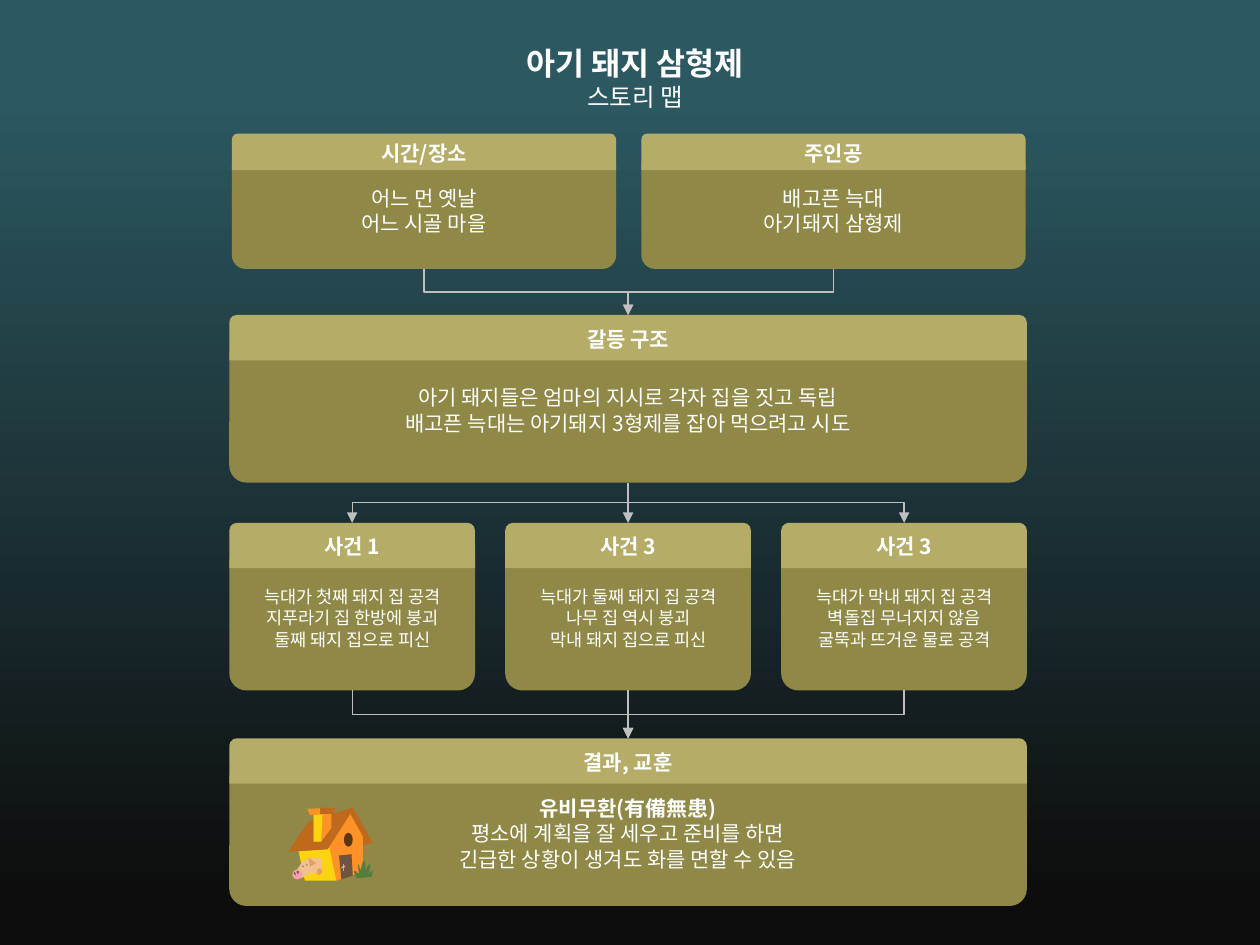
"""Build the story map slide of the three little pigs."""
from dataclasses import dataclass

from lxml.etree import SubElement
from pptx import Presentation
from pptx.dml.color import RGBColor
from pptx.enum.shapes import MSO_CONNECTOR as Link, MSO_SHAPE as Shape
from pptx.enum.text import MSO_ANCHOR as Anchor, MSO_AUTO_SIZE as Fit, PP_ALIGN as Align
from pptx.oxml.ns import qn
from pptx.util import Inches, Pt


@dataclass(frozen=True)
class Theme:
    """Colours, font and type sizes of the slide."""
    font: str = "Noto Sans CJK KR"
    text: str = "FFFFFF"
    body: str = "8F8846"
    head: str = "B5AD67"
    line: str = "BFBFBF"
    sky: str = "2C5861"
    dark: str = "0D0D0D"
    gold: str = "FCD30F"
    rust: str = "BE691C"
    amber: str = "FE9227"
    wood: str = "71543F"
    pane: str = "5A3711"
    skin: str = "EFC28D"
    pink: str = "F5A0AE"
    ear: str = "E89B66"
    eye: str = "465D87"
    bar: str = "BCAC9C"
    beam: str = "CDBFB4"
    grass: str = "547E3E"
    title: int = 18
    sub: int = 14
    main: int = 12
    small: int = 10


class Story:
    """Hold the theme and the current slide."""

    def __init__(self, deck, theme):
        """Add a slide with a gradient background."""
        self.theme = theme
        self.slide = deck.slides.add_slide(deck.slide_layouts[5])
        self.shapes = self.slide.shapes
        fill = self.slide.background.fill
        fill.gradient()
        fill.gradient_angle = 270
        stops = ((0.1, theme.sky), (0.95, theme.dark))
        for stop, (spot, tint) in zip(fill.gradient_stops, stops):
            stop.position = spot
            stop.color.rgb = RGBColor.from_string(tint)

    def label(self, shape, text, styles, anchor=Anchor.MIDDLE):
        """Set centred text, with a (size, bold) style for each line."""
        frame = shape.text_frame
        frame.text = text
        frame.word_wrap = True
        frame.auto_size = Fit.NONE
        frame.vertical_anchor = anchor
        for para, (size, bold) in zip(frame.paragraphs, styles):
            para.alignment = Align.CENTER
            for run in para.runs:
                font = run.font
                font.name, font.size, font.bold = self.theme.font, Pt(size), bold
                font.color.rgb = RGBColor.from_string(self.theme.text)
                SubElement(run._r.get_or_add_rPr(), qn("a:ea"), typeface=self.theme.font)

    def paint(self, shape, tint):
        """Give a shape a flat fill."""
        shape.shadow.inherit = False
        shape.fill.solid()
        shape.fill.fore_color.rgb = RGBColor.from_string(tint)
        shape.line.fill.background()
        return shape

    def block(self, kind, tint, *box):
        """Add a filled preset shape."""
        return self.paint(self.shapes.add_shape(kind, *map(Inches, box)), tint)

    def title(self, text, *box):
        """Place the title and its second line."""
        shape = self.shapes.title
        shape.left, shape.top, shape.width, shape.height = map(Inches, box)
        styles = ((self.theme.title, True), (self.theme.sub, False))
        self.label(shape, text, styles, Anchor.TOP)

    def card(self, head, text, x, y, wide, cap=0.36, tall=1.15, size=None, lead=False):
        """Add a body with a header over its top edge."""
        theme = self.theme
        size = size or theme.main
        base = self.block(Shape.ROUNDED_RECTANGLE, theme.body, x, y + cap / 2, wide, tall)
        base.adjustments[0] = 0.118
        self.label(base, text, [(size, lead)] + [(size, False)] * text.count("\n"))
        top = self.block(Shape.ROUND_2_SAME_RECTANGLE, theme.head, x, y, wide, cap)
        self.label(top, head, [(theme.main, True)])
        return base, top

    def link(self, base, top):
        """Draw an arrow from the foot of a body down to a header."""
        x, y = base.left + base.width // 2, base.top + base.height
        end, drop = top.left + top.width // 2, top.top - y
        if abs(end - x) < Inches(0.02):
            arrow = self.shapes.add_connector(Link.STRAIGHT, x, y, end, top.top)
            arrow.begin_connect(base, 2)
        else:
            span = abs(end - x)
            left, high = (x + end - drop) // 2, y + (drop - span) // 2
            arrow = self.shapes.add_connector(
                Link.ELBOW, left, high, left + drop, high + span)
            frame = arrow._element.spPr.find(qn("a:xfrm"))
            frame.set("rot", str((270 if end > x else 90) * 60000))
            if end > x:
                frame.set("flipH", "1")
        arrow.line.color.rgb = RGBColor.from_string(self.theme.line)
        arrow.line.width = Pt(0.75)
        SubElement(arrow.line._get_or_add_ln(), qn("a:tailEnd"), type="triangle")
        SubElement(arrow._element.spPr, qn("a:effectLst"))

    def patch(self, tint, *dots):
        """Add a filled outline, with points in hundredths of an inch."""
        pen = self.shapes.build_freeform(*dots[0], scale=Inches(0.01))
        pen.add_line_segments(dots[1:], close=True)
        self.paint(pen.convert_to_shape(), tint)

    def house(self):
        """Draw the house with the pig and the grass."""
        t = self.theme
        for tint, *dots in (
            (t.gold, (236, 671), (242, 699), (267, 699), (267, 669)),
            (t.rust, (285, 672), (296, 669), (280, 641), (245, 652), (229, 676),
             (260, 674), (278, 646)),
            (t.amber, (267, 699), (288, 692), (288, 664), (278, 646), (260, 666)),
            (t.rust, (271, 648), (268, 653), (259, 653), (259, 659), (240, 659),
             (229, 676), (260, 674), (278, 646)),
            (t.amber, (263, 657), (263, 644), (249, 646), (249, 668), (255, 668)),
            (t.gold, (256, 645), (249, 646), (249, 668), (255, 668)),
            (t.amber, (265, 646), (266, 641), (244, 642), (246, 647)),
            (t.rust, (265, 646), (266, 641), (254, 641), (254, 646)),
            (t.wood, (279, 678), (269, 679), (271, 698), (280, 695)),
            (t.skin, (245, 681), (240, 684), (236, 690), (239, 697), (247, 693),
             (256, 692), (255, 681)),
            (t.ear, (245, 681), (246, 688), (251, 685)),
            (t.ear, (255, 690), (254, 689), (252, 690), (251, 695), (252, 693),
             (253, 695), (256, 692)),
            (t.bar, (273, 691), (273, 686), (272, 686), (272, 691)),
            (t.beam, (271, 688), (271, 689), (274, 688), (274, 687)),
            (t.grass, (290, 691), (290, 685), (289, 683), (288, 684), (286, 691),
             (285, 687), (284, 686), (285, 694), (282, 691), (281, 692), (283, 697),
             (295, 696), (296, 691), (293, 693), (294, 687), (293, 686), (292, 687)),
        ):
            self.patch(tint, *dots)
        for tint, *box in (
            (t.pane, 2.73, 6.61, 0.07, 0.11),
            (t.pink, 2.32, 6.9, 0.08, 0.08),
            (t.eye, 2.4, 6.87, 0.01, 0.01),
            (t.eye, 2.43, 6.86, 0.01, 0.01),
        ):
            self.block(Shape.OVAL, tint, *box)
        self.patch(t.wood, (234, 692), (233, 693), (235, 695))
        self.patch(t.wood, (235, 692), (237, 694), (237, 691))


def main():
    """Compose and save the slide."""
    deck = Presentation()
    deck.slide_width, deck.slide_height = Inches(10), Inches(7.5)
    theme = Theme()
    story = Story(deck, theme)
    story.title("아기 돼지 삼형제\n스토리 맵", 2.5, 0.3, 5.08, 0.64)
    left, wide, part = 1.82, 6.33, 1.95
    step = (wide - part) / 2
    intro = [story.card(head, text, 1.84 + 3.25 * i, 1.06, 3.05, 0.29, 0.93)
             for i, (head, text) in enumerate((
                 ("시간/장소", "어느 먼 옛날\n어느 시골 마을"),
                 ("주인공", "배고픈 늑대\n아기돼지 삼형제")))]
    plot = story.card(
        "갈등 구조",
        "아기 돼지들은 엄마의 지시로 각자 집을 짓고 독립\n"
        "배고픈 늑대는 아기돼지 3형제를 잡아 먹으려고 시도", left, 2.5, wide)
    acts = [story.card(head, text, left + step * i, 4.15, part, size=theme.small)
            for i, (head, text) in enumerate((
                ("사건 1", "늑대가 첫째 돼지 집 공격\n지푸라기 집 한방에 붕괴\n둘째 돼지 집으로 피신"),
                ("사건 3", "늑대가 둘째 돼지 집 공격\n나무 집 역시 붕괴\n막내 돼지 집으로 피신"),
                ("사건 3", "늑대가 막내 돼지 집 공격\n벽돌집 무너지지 않음\n굴뚝과 뜨거운 물로 공격")))]
    moral = story.card(
        "결과, 교훈",
        "유비무환(有備無患)\n평소에 계획을 잘 세우고 준비를 하면\n"
        "긴급한 상황이 생겨도 화를 면할 수 있음", left, 5.86, wide, lead=True)
    for base, _ in intro:
        story.link(base, plot[1])
    for base, top in acts:
        story.link(plot[0], top)
        story.link(base, moral[1])
    story.house()
    deck.save("out.pptx")


if __name__ == "__main__":
    main()
